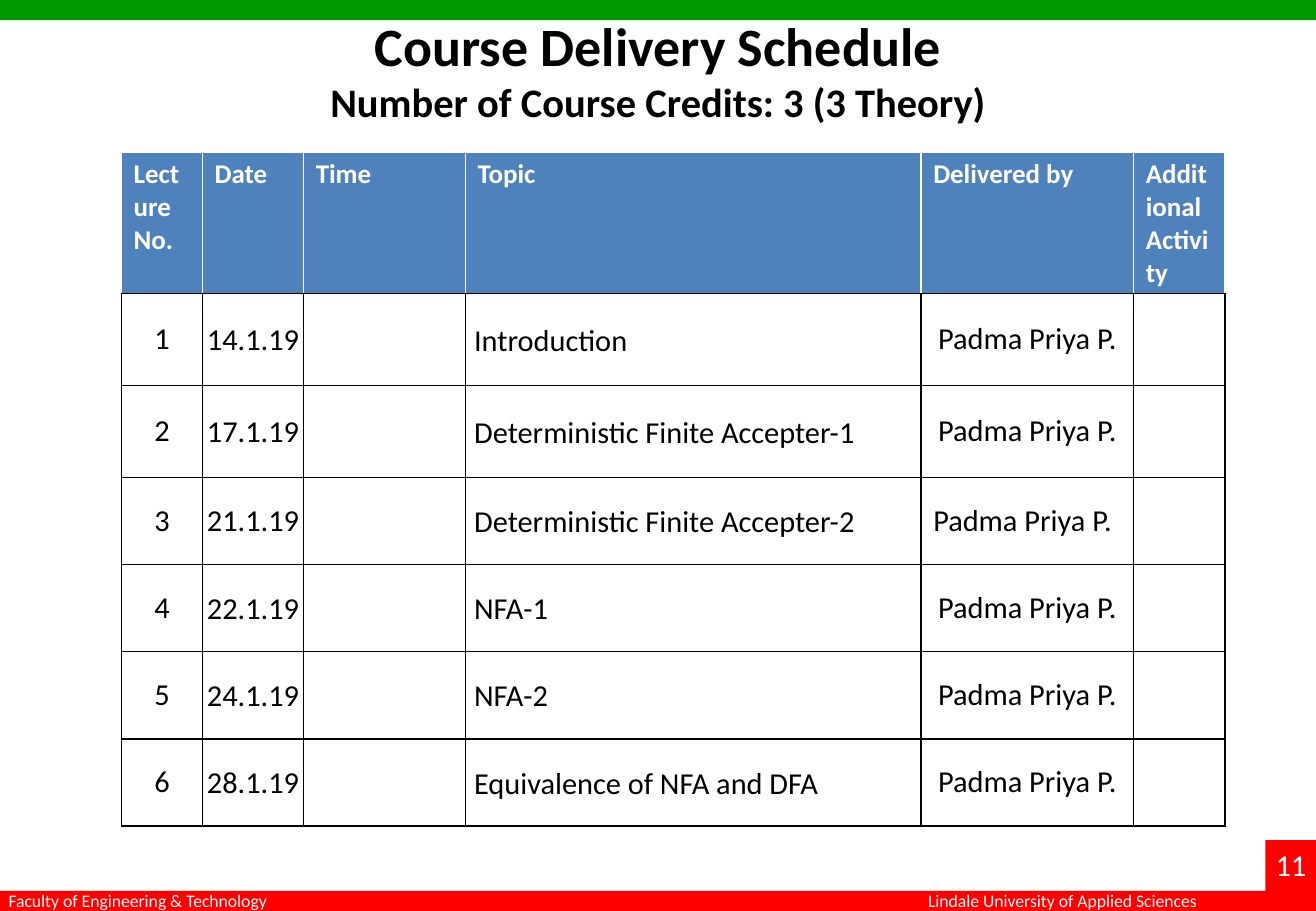
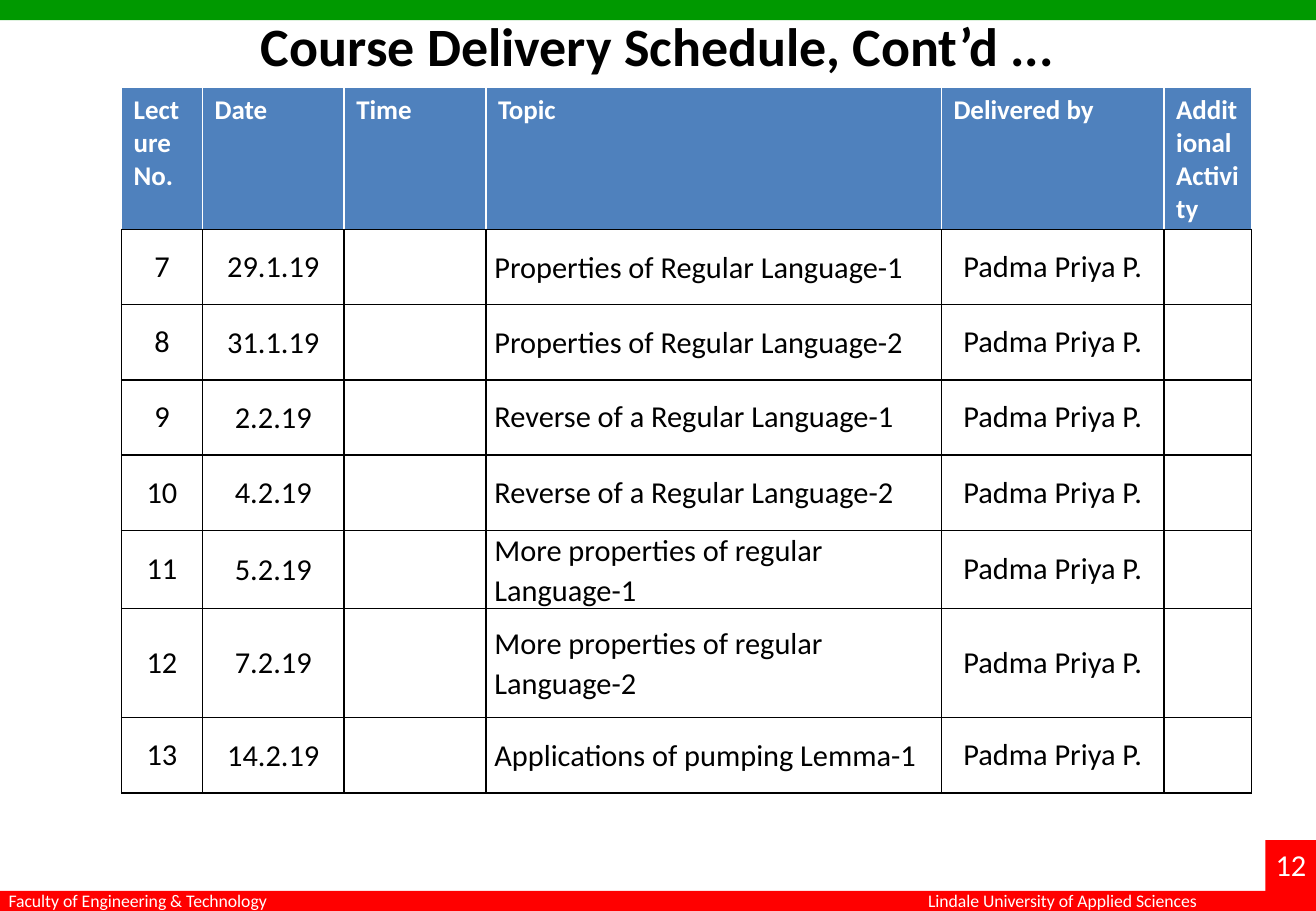
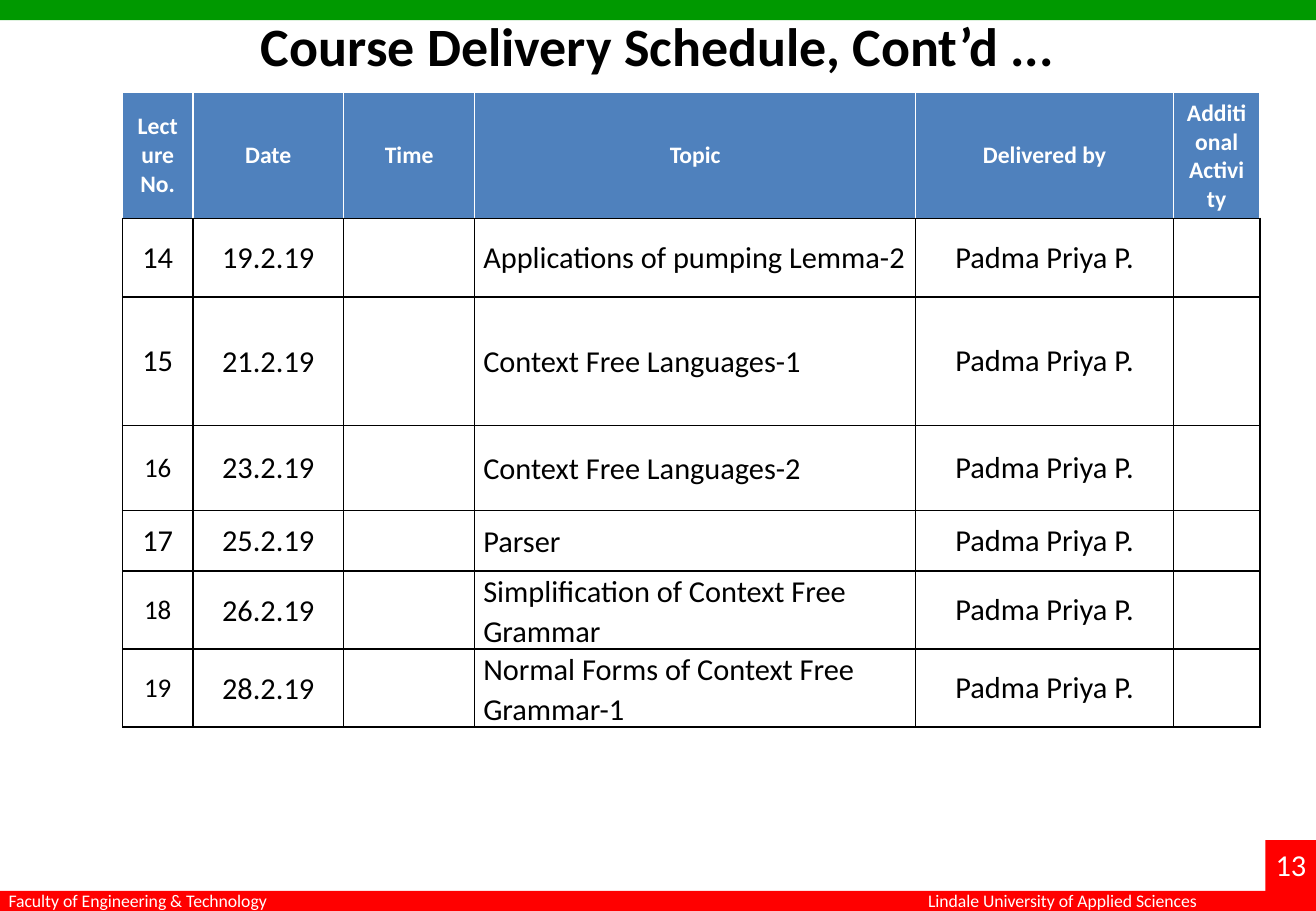
import pptx
import pptx.dml.color
import pptx.enum.shapes
import pptx.enum.text
import pptx.oxml
import pptx.oxml.ns
import pptx.util

Pt = pptx.util.Pt
ALIGN = pptx.enum.text.PP_ALIGN
ANCHOR = pptx.enum.text.MSO_ANCHOR

WIDTH, HEIGHT = 780, 540
BAND_HEIGHT = 12
FONT = "Calibri"
GREEN, RED, BLUE = "009900", "FF0000", "4F81BD"
BLACK, WHITE = "000000", "FFFFFF"

FACULTY = "Faculty of Engineering & Technology"
UNIVERSITY = "Lindale University of Applied Sciences"
LECTURER = "Padma Priya P."
HEADINGS = ["Lecture No.", "Date", "Time", "Topic", "Delivered by", "Additional Activity"]

CELL_MARGINS = (7.2, 3.6, 7.2, 3.6)
DATE_MARGINS = (0.7, 0.7, 0.7, 0)
TOPIC_MARGINS = (5.1, 0, 5.1, 0)

# Lectures whose cells differ from the common row format
SMALL_NUMBER = {16, 18, 19}
SINGLE_SPACED_TOPIC = {9, 10, 14}
LEFT_LECTURER = {3}

SCHEDULES = [
    {
        "page": 11,
        "title": "Course Delivery Schedule",
        "subtitle": "Number of Course Credits: 3 (3 Theory)",
        "origin": (72, 90),
        "columns": [48, 60, 96, 270, 126, 54],
        "rows": [81] + [54.5] * 2 + [51.7] * 4,
        "heading": {"size": 16},
        "first": 1,
        "lectures": [
            ("14.1.19", "Introduction"),
            ("17.1.19", "Deterministic Finite Accepter-1"),
            ("21.1.19", "Deterministic Finite Accepter-2"),
            ("22.1.19", "NFA-1"),
            ("24.1.19", "NFA-2"),
            ("28.1.19", "Equivalence of NFA and DFA"),
        ],
    },
    {
        "page": 12,
        "title": "Course Delivery Schedule, Cont’d ...",
        "subtitle": None,
        "origin": (72, 52),
        "columns": [48, 84, 84, 270, 132, 52],
        "rows": [66] + [44.6] * 5 + [64.8, 44.6],
        "heading": {"size": 16},
        "first": 7,
        "lectures": [
            ("29.1.19", "Properties of Regular Language-1"),
            ("31.1.19", "Properties of Regular Language-2"),
            ("2.2.19", "Reverse of a Regular Language-1"),
            ("4.2.19", "Reverse of a Regular Language-2"),
            ("5.2.19", "More properties of regular Language-1"),
            ("7.2.19", "More properties of regular Language-2"),
            ("14.2.19", "Applications of pumping Lemma-1"),
        ],
    },
    {
        "page": 13,
        "title": "Course Delivery Schedule, Cont’d ...",
        "subtitle": None,
        "origin": (72.7, 55),
        "columns": [41.6, 89.4, 77.7, 261.4, 152.8, 51.2],
        "rows": [54.7, 46.5, 76.2, 50.4, 36, 46, 36],
        "heading": {"size": 14, "align": ALIGN.CENTER, "anchor": ANCHOR.MIDDLE},
        "first": 14,
        "lectures": [
            ("19.2.19", "Applications of pumping Lemma-2"),
            ("21.2.19", "Context Free Languages-1"),
            ("23.2.19", "Context Free Languages-2"),
            ("25.2.19", "Parser"),
            ("26.2.19", "Simplification of Context Free Grammar"),
            ("28.2.19", "Normal Forms of Context Free Grammar-1"),
        ],
    },
]


def rgb(value):
    return pptx.dml.color.RGBColor.from_string(value)


def add_run(paragraph, text, size, color=BLACK, bold=False):
    run = paragraph.add_run()
    run.text = text
    run.font.name = FONT
    run.font.size = Pt(size)
    run.font.bold = bold
    run.font.color.rgb = rgb(color)


def add_block(slide, left, top, width, height, color):
    """Add a plain rectangle without outline."""
    shape = slide.shapes.add_shape(
        pptx.enum.shapes.MSO_SHAPE.RECTANGLE, Pt(left), Pt(top), Pt(width), Pt(height))
    shape.shadow.inherit = False
    shape.fill.solid()
    shape.fill.fore_color.rgb = rgb(color)
    shape.line.fill.background()


def add_label(slide, left, top, width, height, text, size):
    box = slide.shapes.add_textbox(Pt(left), Pt(top), Pt(width), Pt(height))
    box.text_frame.word_wrap = True
    add_run(box.text_frame.paragraphs[0], text, size, WHITE)


def add_frame(slide, page):
    """Add the bands, footer texts and page number."""
    footer_top = HEIGHT - 16
    add_block(slide, 0, 0, WIDTH, BAND_HEIGHT, GREEN)
    add_block(slide, 0, HEIGHT - BAND_HEIGHT, WIDTH, BAND_HEIGHT, RED)
    add_block(slide, WIDTH - 30, HEIGHT - 42, 30, 42, RED)
    add_label(slide, 543, footer_top, 200, 20, UNIVERSITY, 10.5)
    add_label(slide, -2, footer_top, 200, 20, FACULTY, 10.5)
    add_label(slide, WIDTH - 31, HEIGHT - 42, 36, 29, str(page), 18)


def format_title(slide, title, subtitle):
    shape = slide.shapes.title
    shape.left, shape.top, shape.width, shape.height = Pt(39), Pt(3.6), Pt(702), Pt(45)
    frame = shape.text_frame
    frame.auto_size = pptx.enum.text.MSO_AUTO_SIZE.NONE
    frame.vertical_anchor = ANCHOR.TOP
    paragraph = frame.paragraphs[0]
    paragraph.alignment = ALIGN.CENTER
    add_run(paragraph, title, 32, bold=True)
    if subtitle:
        paragraph.add_line_break()
        add_run(paragraph, subtitle, 24, bold=True)


def set_borders(cell, color, bottom=BLACK):
    properties = cell._tc.get_or_add_tcPr()
    sides = [("lnL", color), ("lnR", color), ("lnT", color), ("lnB", bottom)]
    for position, (tag, side_color) in enumerate(sides):
        properties.insert(position, pptx.oxml.parse_xml(
            f'<a:{tag} {pptx.oxml.ns.nsdecls("a")} w="{Pt(1)}"><a:solidFill>'
            f'<a:srgbClr val="{side_color}"/></a:solidFill></a:{tag}>'))


def fill_cell(cell, text, size=18, color=BLACK, bold=False, fill=WHITE, border=BLACK,
              align=ALIGN.LEFT, anchor=ANCHOR.MIDDLE, margins=CELL_MARGINS, spacing=None):
    cell.fill.solid()
    cell.fill.fore_color.rgb = rgb(fill)
    set_borders(cell, border)
    cell.vertical_anchor = anchor
    cell.margin_left, cell.margin_top, cell.margin_right, cell.margin_bottom = map(Pt, margins)
    paragraph = cell.text_frame.paragraphs[0]
    paragraph.alignment = align
    if spacing:
        paragraph.line_spacing = spacing
    if text:
        add_run(paragraph, text, size, color, bold)


def fill_heading_row(cells, heading):
    style = {"anchor": ANCHOR.TOP, **heading}
    for cell, text in zip(cells, HEADINGS):
        fill_cell(cell, text, color=WHITE, bold=True, fill=BLUE, border=WHITE, **style)


def fill_lecture_row(cells, number, date, topic):
    number_cell, date_cell, time_cell, topic_cell, lecturer_cell, activity_cell = cells
    fill_cell(number_cell, str(number), 16 if number in SMALL_NUMBER else 18,
              align=ALIGN.CENTER)
    fill_cell(date_cell, date, align=ALIGN.CENTER, margins=DATE_MARGINS)
    fill_cell(topic_cell, topic, margins=TOPIC_MARGINS,
              spacing=None if number in SINGLE_SPACED_TOPIC else 1.07)
    fill_cell(lecturer_cell, LECTURER,
              align=ALIGN.LEFT if number in LEFT_LECTURER else ALIGN.CENTER)
    for cell in (time_cell, activity_cell):
        fill_cell(cell, "")


def add_schedule_table(slide, left, top, columns, rows, heading, first, lectures):
    table = slide.shapes.add_table(
        len(rows), len(columns), Pt(left), Pt(top), Pt(sum(columns)), Pt(sum(rows))).table
    table.horz_banding = False
    for column, width in zip(table.columns, columns):
        column.width = Pt(width)
    for row, height in zip(table.rows, rows):
        row.height = Pt(height)
    heading_row, *lecture_rows = table.rows
    fill_heading_row(heading_row.cells, heading)
    for cell in heading_row.cells:
        bottom = cell._tc.tcPr.find(pptx.oxml.ns.qn("a:lnB"))
        bottom.find(".//" + pptx.oxml.ns.qn("a:srgbClr")).set("val", BLACK)
    for number, (row, lecture) in enumerate(zip(lecture_rows, lectures), first):
        fill_lecture_row(row.cells, number, *lecture)


def add_schedule_slide(presentation, schedule):
    slide = presentation.slides.add_slide(presentation.slide_layouts[5])
    add_frame(slide, schedule["page"])
    format_title(slide, schedule["title"], schedule["subtitle"])
    add_schedule_table(slide, *schedule["origin"], schedule["columns"], schedule["rows"],
                       schedule["heading"], schedule["first"], schedule["lectures"])


def main():
    presentation = pptx.Presentation()
    presentation.slide_width, presentation.slide_height = Pt(WIDTH), Pt(HEIGHT)
    for schedule in SCHEDULES:
        add_schedule_slide(presentation, schedule)
    presentation.save("out.pptx")


if __name__ == "__main__":
    main()
